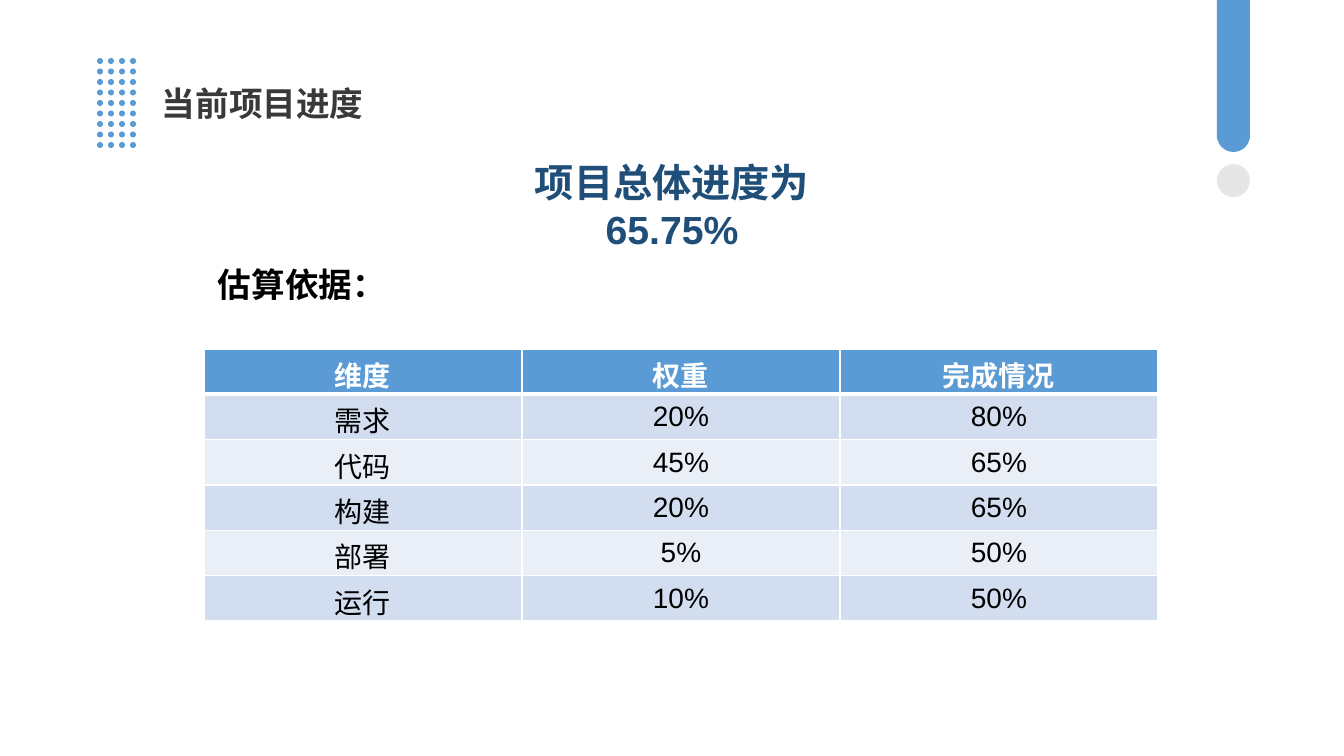
from dataclasses import dataclass
from lxml.etree import SubElement
from pptx import Presentation
from pptx.dml.color import RGBColor
from pptx.enum.shapes import MSO_SHAPE
from pptx.enum.text import MSO_ANCHOR, MSO_AUTO_SIZE, PP_ALIGN
from pptx.oxml.ns import qn
from pptx.util import Emu, Pt

# Content
TITLE = "当前项目进度"
PROGRESS = "项目总体进度为65.75%"
BASIS = "估算依据："
ROWS = [
    ("维度", "权重", "完成情况"),
    ("需求", "20%", "80%"),
    ("代码", "45%", "65%"),
    ("构建", "20%", "65%"),
    ("部署", "5%", "50%"),
    ("运行", "10%", "50%"),
]


@dataclass(frozen=True)
class Theme:
    font: str = "Arial"
    blue: str = "5B9BD5"
    navy: str = "1F4E79"
    dark: str = "3B3838"
    black: str = "000000"
    white: str = "FFFFFF"
    gray: str = "E7E6E6"
    bands: tuple = ("D2DEEF", "EAEFF7")
    heading_size: int = 24
    progress_size: int = 28
    table_size: int = 20
    thin_border: int = 1
    header_border: int = 3


THEME = Theme()


def px(value):
    return Emu(round(value * 914400 / 100.8))


def add_run(paragraph, text, size, color, bold):
    run = paragraph.add_run()
    run.text = text
    run.font.name = THEME.font
    run.font.size = Pt(size)
    run.font.bold = bold
    run.font.color.rgb = RGBColor.from_string(color)


def add_text(slide, box, text, size, color, align, wrap):
    frame = slide.shapes.add_textbox(*map(px, box)).text_frame
    frame.word_wrap = wrap
    frame.auto_size = MSO_AUTO_SIZE.SHAPE_TO_FIT_TEXT
    paragraph = frame.paragraphs[0]
    paragraph.alignment = align
    add_run(paragraph, text, size, color, True)


def add_filled(group, kind, box, color):
    shape = group.shapes.add_shape(kind, *map(px, box))
    shape.shadow.inherit = False
    shape.fill.solid()
    shape.fill.fore_color.rgb = RGBColor.from_string(color)
    shape.line.fill.background()


def set_borders(cell, top, bottom):
    thin = THEME.thin_border
    properties = cell._tc.get_or_add_tcPr()
    widths = {"a:lnL": thin, "a:lnR": thin, "a:lnT": top, "a:lnB": bottom}
    for position, (tag, width) in enumerate(widths.items()):
        line = SubElement(properties, qn(tag), w=str(Pt(width)))
        fill = SubElement(line, qn("a:solidFill"))
        SubElement(fill, qn("a:srgbClr"), val=THEME.white)
        properties.insert(position, line)


def add_progress_table(slide):
    left, top, width, height = 204, 349, 954, 272
    table = slide.shapes.add_table(
        len(ROWS), len(ROWS[0]), px(left), px(top), px(width), px(height)
    ).table
    for column in table.columns:
        column.width = px(width / len(ROWS[0]))
    for row_index, values in enumerate(ROWS):
        table.rows[row_index].height = px(height / len(ROWS))
        header = row_index == 0
        fill = THEME.blue if header else THEME.bands[(row_index - 1) % 2]
        color = THEME.white if header else THEME.black
        border_top = THEME.header_border if row_index == 1 else THEME.thin_border
        border_bottom = THEME.header_border if header else THEME.thin_border
        for column_index, value in enumerate(values):
            cell = table.cell(row_index, column_index)
            cell.fill.solid()
            cell.fill.fore_color.rgb = RGBColor.from_string(fill)
            cell.vertical_anchor = MSO_ANCHOR.MIDDLE
            paragraph = cell.text_frame.paragraphs[0]
            paragraph.alignment = PP_ALIGN.CENTER
            add_run(paragraph, value, THEME.table_size, color, header)
            set_borders(cell, border_top, border_bottom)


def add_dot_grid(slide):
    left, top, width, height, dot = 97, 58, 33, 84, 6
    columns, rows = 4, 9
    group = slide.shapes.add_group_shape()
    for column in range(columns):
        for row in range(rows):
            x = left + column * width / (columns - 1)
            y = top + row * height / (rows - 1)
            add_filled(group, MSO_SHAPE.OVAL, (x, y, dot, dot), THEME.blue)


def add_corner_mark(slide):
    left, width = 1217, 33
    group = slide.shapes.add_group_shape()
    for kind, top, height, color in (
        (MSO_SHAPE.RECTANGLE, 0, 139, THEME.blue),
        (MSO_SHAPE.OVAL, 119, width, THEME.blue),
        (MSO_SHAPE.OVAL, 164, width, THEME.gray),
    ):
        add_filled(group, kind, (left, top, width, height), color)


def main():
    presentation = Presentation()
    presentation.slide_width = px(1344)
    presentation.slide_height = px(756)
    slide = presentation.slides.add_slide(presentation.slide_layouts[6])

    # Headings
    add_text(slide, (152, 78, 244, 50), TITLE, THEME.heading_size,
             THEME.dark, PP_ALIGN.JUSTIFY, True)
    add_text(slide, (462, 153, 420, 57), PROGRESS, THEME.progress_size,
             THEME.navy, PP_ALIGN.CENTER, True)

    # Estimate
    add_progress_table(slide)
    add_text(slide, (208, 259, 188, 50), BASIS, THEME.heading_size,
             THEME.black, PP_ALIGN.CENTER, False)

    # Decoration
    add_dot_grid(slide)
    add_corner_mark(slide)

    presentation.save("out.pptx")


if __name__ == "__main__":
    main()
